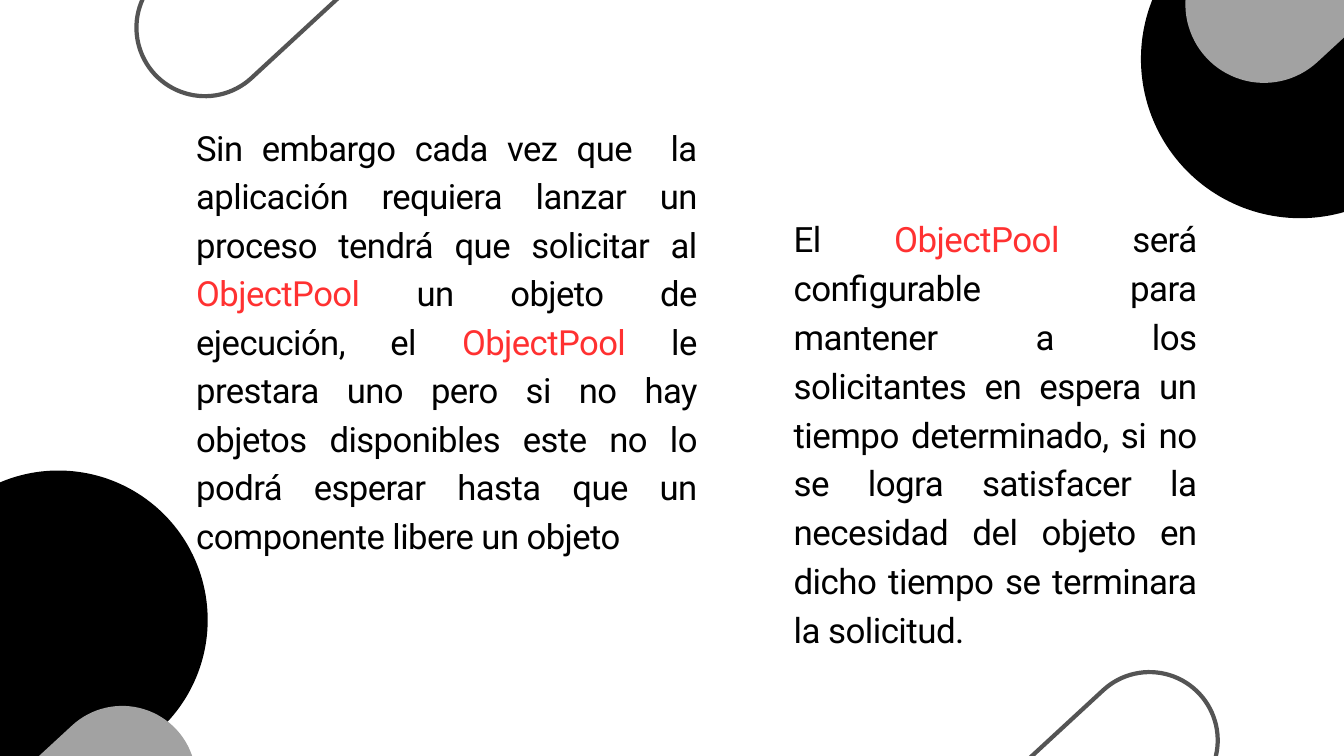
from pptx import Presentation
from pptx.dml.color import RGBColor
from pptx.enum.shapes import MSO_SHAPE
from pptx.enum.text import MSO_AUTO_SIZE, PP_ALIGN
from pptx.util import Inches, Pt

THEME = {
    "font": "Roboto",
    "ink": RGBColor(0, 0, 0),
    "accent": RGBColor(0xFF, 0x31, 0x31),
    "gray": RGBColor(0xA2, 0xA2, 0xA2),
    "edge": RGBColor(0x54, 0x54, 0x54),
    "left": {"size": Pt(37.1), "lead": Pt(52)},
    "right": {"size": Pt(37.4), "lead": Pt(52.3)},
    "track": -60,
    "line": Pt(4.5),
}
TERM = "ObjectPool"
TILT = 317.3

deck = Presentation()
deck.slide_width, deck.slide_height = Inches(20), Inches(11.25)
col, row = deck.slide_width / 100, deck.slide_height / 100
slide = deck.slides.add_slide(deck.slide_layouts[6])


def put(obj, vals):
    """Set each attribute of obj named in vals."""
    for key, val in vals.items():
        setattr(obj, key, val)


# Pills: left, top and width in columns and rows; each is half as high as wide
pills = [
    (-26.05, 75.64, 44.45, "ink"),
    (-5.95, 100, 22, "gray"),
    (81.75, -27.56, 47.4, "ink"),
    (86.65, -16.89, 23.4, "gray"),
    (71.65, 95.02, 20.3, None),
    (8.8, -11.56, 20.4, None),
]
for x, y, wide, fill in pills:
    pill = slide.shapes.add_shape(
        MSO_SHAPE.ROUNDED_RECTANGLE,
        int(x * col), int(y * row), int(wide * col), int(wide * col / 2))
    pill.adjustments[0] = 0.5
    pill.rotation = TILT
    pill.shadow.inherit = False
    if fill:
        pill.fill.solid()
        pill.fill.fore_color.rgb = THEME[fill]
        pill.line.fill.background()
    else:
        pill.fill.background()
        pill.line.color.rgb = THEME["edge"]
        pill.line.width = THEME["line"]

# Text columns: style, box in columns and rows, wording
texts = [
    ("left", (14.6, 15.82, 37.25, 57.24),
     "Sin embargo cada vez que  la aplicación requiera lanzar un proceso "
     "tendrá que solicitar al ObjectPool un objeto de ejecución, el "
     "ObjectPool le prestara uno pero si no hay objetos disponibles este no "
     "lo podrá esperar hasta que un componente libere un objeto"),
    ("right", (59.05, 27.91, 30, 57.33),
     "El ObjectPool será configurable para mantener a los solicitantes en "
     "espera un tiempo determinado, si no se logra satisfacer la necesidad "
     "del objeto en dicho tiempo se terminara la solicitud."),
]
for style, (x, y, wide, high), words in texts:
    look = THEME[style]
    box = slide.shapes.add_textbox(
        int(x * col), int(y * row), int(wide * col), int(high * row))
    frame = box.text_frame
    put(frame, {
        "word_wrap": True, "auto_size": MSO_AUTO_SIZE.SHAPE_TO_FIT_TEXT,
        "margin_left": 0, "margin_right": 0,
        "margin_top": 0, "margin_bottom": 0,
    })
    para = frame.paragraphs[0]
    put(para, {"alignment": PP_ALIGN.JUSTIFY, "line_spacing": look["lead"]})
    # Split around the term, so that every odd part is the term itself
    parts = words.replace(TERM, f"|{TERM}|").split("|")
    for part in parts:
        run = para.add_run()
        run.text = part
        put(run.font, {"name": THEME["font"], "size": look["size"]})
        run.font.color.rgb = THEME["accent" if part == TERM else "ink"]
        run._r.get_or_add_rPr().set("spc", str(THEME["track"]))

deck.save("out.pptx")
